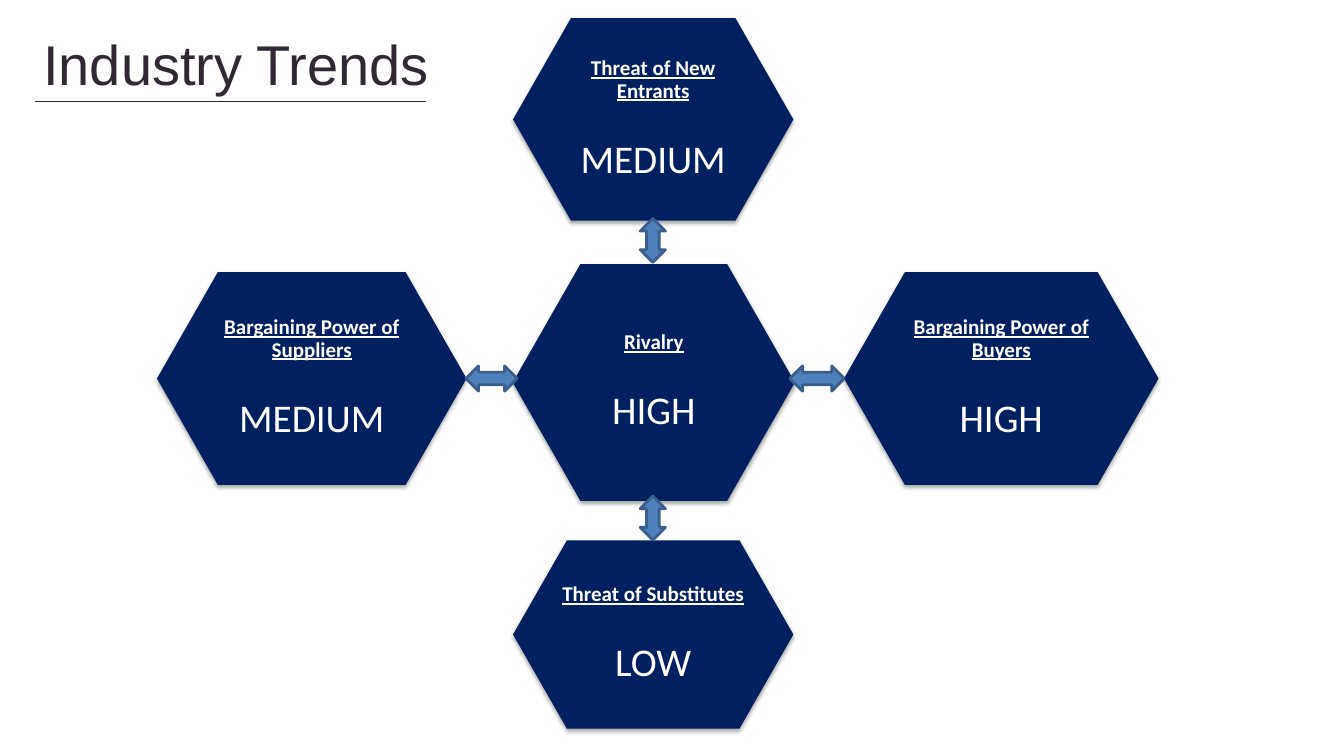
from dataclasses import dataclass

from lxml import etree
from pptx import Presentation
from pptx.dml.color import RGBColor
from pptx.enum.shapes import MSO_CONNECTOR, MSO_SHAPE
from pptx.enum.text import MSO_ANCHOR, PP_ALIGN
from pptx.oxml import parse_xml
from pptx.oxml.ns import qn
from pptx.util import Inches, Pt

HEXAGON = MSO_SHAPE.HEXAGON
ARROW = MSO_SHAPE.UP_DOWN_ARROW
STRAIGHT = MSO_CONNECTOR.STRAIGHT
MIDDLE = MSO_ANCHOR.MIDDLE
CENTER = PP_ALIGN.CENTER

NAVY = RGBColor(0x00, 0x20, 0x60)
BLUE = RGBColor(0x4F, 0x81, 0xBD)
STEEL = RGBColor(0x3A, 0x5F, 0x8C)
WHITE = RGBColor(0xFF, 0xFF, 0xFF)
INK = RGBColor(0x30, 0x29, 0x33)
RULE = RGBColor(0x31, 0x2A, 0x33)

WIDTH, HEIGHT = Inches(13.33), Inches(7.5)
COL, ROW = WIDTH / 100, HEIGHT / 100
TEXT_SHARE = 0.67
ARROW_COLS = 1.88

TITLE_FONT = {"name": "Arial", "size": Pt(40)}
FORCE_FONT = {"name": "Calibri", "size": Pt(15), "bold": True, "underline": True}
RATING_FONT = {"name": "Calibri", "size": Pt(28), "bold": False, "underline": False}
INSETS = {f"margin_{side}": Inches(0.02) for side in ("left", "top", "right", "bottom")}

SHADOW = (
    '<a:effectLst xmlns:a="http://schemas.openxmlformats.org/drawingml/2006/main">'
    '<a:outerShdw blurRad="39370" dist="22860" dir="5400000" rotWithShape="0">'
    '<a:srgbClr val="000000"><a:alpha val="35000"/></a:srgbClr>'
    "</a:outerShdw></a:effectLst>"
)


@dataclass
class Force:
    name: str
    rating: str
    col: float
    row: float
    cols: float
    rows: float


@dataclass
class Link:
    col: float
    row: float
    length: float
    rotation: int = 0


FORCES = [
    Force("Rivalry", "HIGH", 48.65, 50.6, 21, 31.33),
    Force("Bargaining Power of Suppliers", "MEDIUM", 23.2, 50.07, 23.03, 28.13),
    Force("Threat of Substitutes", "LOW", 48.6, 83.93, 20.86, 24.93),
    Force("Threat of New Entrants", "MEDIUM", 48.6, 15.8, 20.86, 26.8),
    Force("Bargaining Power of Buyers", "HIGH", 74.5, 50.07, 23.4, 28.13),
]

LINKS = [
    Link(48.57, 31.8, 5.8),
    Link(48.57, 68.53, 5.8),
    Link(36.57, 50.07, 6.8, 90),
    Link(60.8, 50.07, 7.2, 90),
]


def centred_box(col: float, row: float, cols: float, rows: float) -> list[int]:
    lengths = ((col - cols / 2) * COL, (row - rows / 2) * ROW, cols * COL, rows * ROW)
    return [round(length) for length in lengths]


def apply(target: object, values: dict) -> None:
    for key, value in values.items():
        setattr(target, key, value)


def write(p, text: str, font: dict, color: RGBColor) -> None:
    r = p.add_run()
    r.text = text
    apply(r.font, font)
    r.font.color.rgb = color


def draw_title(s, text: str) -> None:
    box = s.shapes.add_textbox(round(2.48 * COL), round(2.4 * ROW), round(90.1 * COL), round(19.33 * ROW))
    tf = box.text_frame
    tf.word_wrap = True
    tf.margin_top = Inches(0.11)
    write(tf.paragraphs[0], text, TITLE_FONT, INK)


def draw_force(s, force: Force) -> None:
    hexagon = s.shapes.add_shape(HEXAGON, *centred_box(force.col, force.row, force.cols, force.rows))
    hexagon.adjustments[0] = 0.286
    hexagon.fill.solid()
    hexagon.fill.fore_color.rgb = NAVY
    hexagon.line.fill.background()
    hexagon._element.spPr.append(parse_xml(SHADOW))

    sp = s.shapes.add_textbox(
        *centred_box(force.col, force.row, force.cols * TEXT_SHARE, force.rows * TEXT_SHARE)
    )
    tf = sp.text_frame
    apply(tf, {"word_wrap": True, "vertical_anchor": MIDDLE, **INSETS})
    name, rating = tf.paragraphs[0], tf.add_paragraph()
    for p in (name, rating):
        apply(p, {"alignment": CENTER, "line_spacing": 0.9})
    rating.space_before = Pt(26)
    write(name, force.name, FORCE_FONT, WHITE)
    write(rating, force.rating, RATING_FONT, WHITE)


def draw_link(s, link: Link) -> None:
    sp = s.shapes.add_shape(ARROW, *centred_box(link.col, link.row, ARROW_COLS, link.length))
    sp.rotation = link.rotation
    sp.shadow.inherit = False
    sp.fill.solid()
    sp.fill.fore_color.rgb = BLUE
    sp.line.color.rgb = STEEL
    sp.line.width = Pt(2)


def draw_rule(s) -> None:
    y = round(13.47 * ROW)
    rule = s.shapes.add_connector(STRAIGHT, round(2.63 * COL), y, round(31.73 * COL), y)
    rule.line.color.rgb = RULE
    rule.line.width = Pt(0.48)
    etree.SubElement(rule._element.spPr, qn("a:effectLst"))


def main() -> None:
    prs = Presentation()
    prs.slide_width, prs.slide_height = WIDTH, HEIGHT
    s = prs.slides.add_slide(prs.slide_layouts[6])
    draw_title(s, "Industry Trends")
    for force in FORCES:
        draw_force(s, force)
    for link in LINKS:
        draw_link(s, link)
    draw_rule(s)
    prs.save("out.pptx")


if __name__ == "__main__":
    main()
